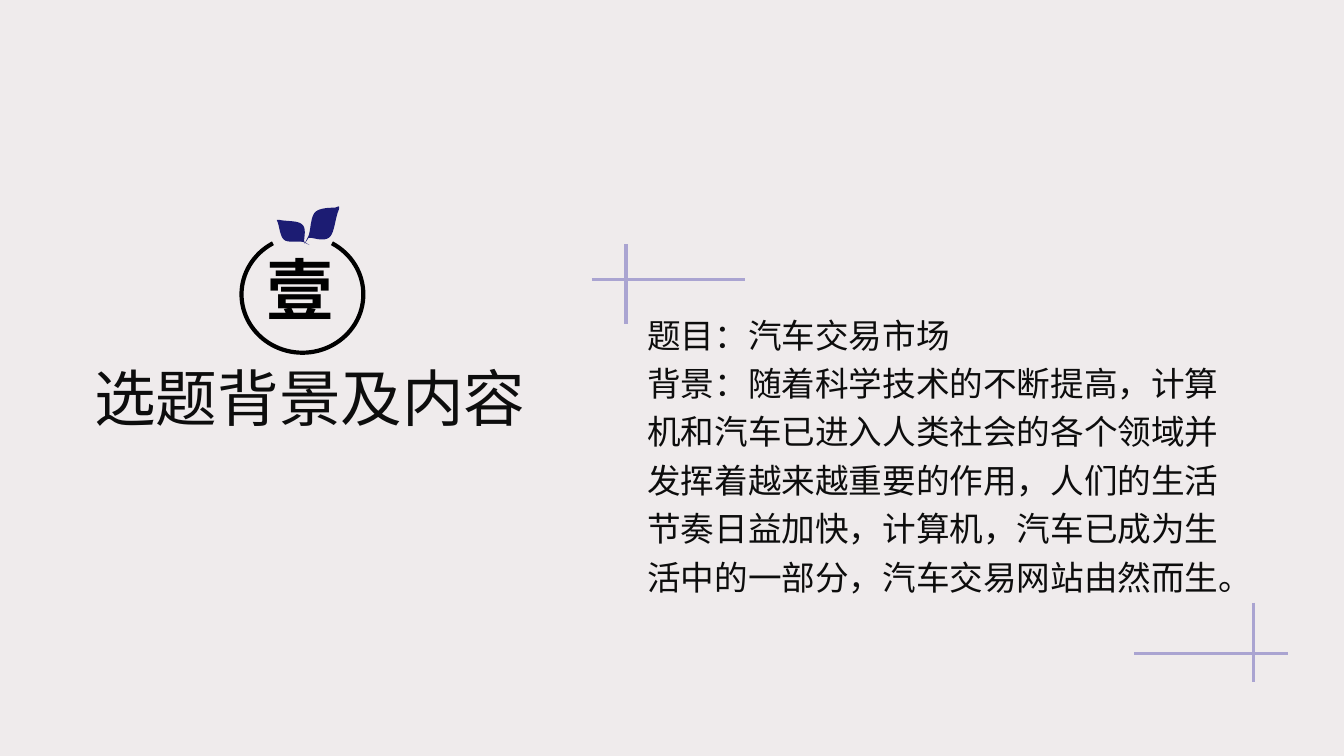
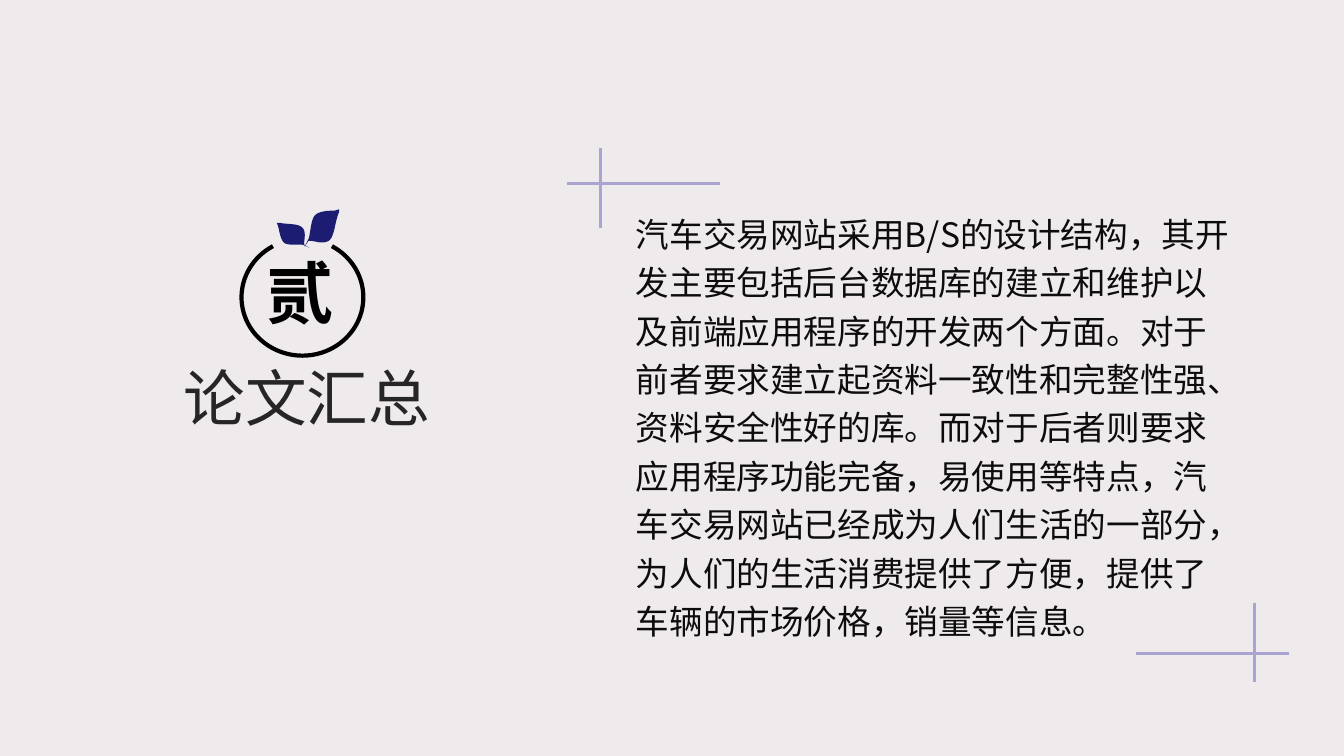
from lxml.etree import SubElement
from pptx import Presentation
from pptx.dml.color import RGBColor
from pptx.enum.shapes import MSO_CONNECTOR, MSO_SHAPE
from pptx.enum.text import MSO_ANCHOR, MSO_AUTO_SIZE, PP_ALIGN
from pptx.oxml.ns import qn
from pptx.util import Inches, Pt

COLORS = {
    "background": "EFEBEC",
    "cross": "AAA4D1",
    "leaf": "1C1C73",
    "ring": "000000",
    "body": "0D0D0D",
}
FONT = "Noto Sans CJK SC"
FRAME_FORMAT = {
    "word_wrap": True,
    "auto_size": MSO_AUTO_SIZE.SHAPE_TO_FIT_TEXT,
    "vertical_anchor": MSO_ANCHOR.TOP,
    "margin_left": Inches(0.1),
    "margin_right": Inches(0.1),
    "margin_top": Inches(0.05),
    "margin_bottom": Inches(0.05),
}
TITLE_FORMAT = {"alignment": PP_ALIGN.CENTER, "line_spacing": 1.0}
NUMBER_FORMAT = {"alignment": PP_ALIGN.LEFT, "line_spacing": 1.0}
BODY_FORMAT = {"alignment": PP_ALIGN.LEFT, "line_spacing": 1.2}

# The slide is a grid of 32 columns and 18 rows of square cells.
presentation = Presentation()
presentation.slide_width, presentation.slide_height = Inches(13.33), Inches(7.5)
CELL = presentation.slide_height / 18

# Leaf outlines in hundredths of an inch from the ring's centre:
# a start point, then lines (one point) and Bézier curves (three points).
LEAVES = [
    [(7, -49), [(1, -52)],
     [(-3, -53), (-14, -51), (-18, -54)],
     [(-22, -57), (-23, -67), (-24, -70)],
     [(-25, -74), (-27, -74), (-23, -74)],
     [(-15, -72), (-3, -74), (1, -68)],
     [(4, -63), (1, -55), (2, -52)]],
    [(2, -50), [(6, -58)],
     [(8, -63), (8, -76), (12, -81)],
     [(16, -86), (28, -86), (32, -86)],
     [(36, -87), (37, -89), (36, -84)],
     [(32, -75), (32, -60), (26, -56)],
     [(19, -52), (10, -57), (6, -56)]],
]
CURVE_STEPS = 10

SECTIONS = [
    {
        "title": "选题背景及内容", "title_color": "0D0D0D", "title_left": 0.67,
        "number": "壹", "ring_row": 7.01,
        "upper_cross": (14.9, 6.65), "lower_cross": (29.83, 15.55),
        "body_box": (15.17, 7.18, 14.66, 8.38),
        "body": [
            "题目：汽车交易市场",
            "背景：随着科学技术的不断提高，计算机和汽车已进入人类社会的各个领域并"
            "发挥着越来越重要的作用，人们的生活节奏日益加快，计算机，汽车已成为生"
            "活中的一部分，汽车交易网站由然而生。",
        ],
    },
    {
        "title": "论文汇总", "title_color": "262626", "title_left": 0.6,
        "number": "贰", "ring_row": 7.08,
        "upper_cross": (14.3, 4.36), "lower_cross": (29.86, 15.55),
        "body_box": (14.9, 4.78, 14.66, 11.88),
        "body": [
            "汽车交易网站采用B/S的设计结构，其开发主要包括后台数据库的建立和维护"
            "以及前端应用程序的开发两个方面。对于前者要求建立起资料一致性和完整性"
            "强、资料安全性好的库。而对于后者则要求应用程序功能完备，易使用等特点，"
            "汽车交易网站已经成为人们生活的一部分，",
            "为人们的生活消费提供了方便，提供了车辆的市场价格，销量等信息。",
        ],
    },
]
RING_COLUMN = 7.2
RING_RADII = (1.45, 1.39)
# Reach of the arms from the crossing point: left, right, up, down.
CROSS_ARMS = {"upper_cross": (0.81, 2.84, 0.83, 1.07),
              "lower_cross": (2.83, 0.82, 1.2, 0.7)}


def cells(*lengths):
    """Turn grid cells into slide lengths."""
    return [round(length * CELL) for length in lengths]


def write_text(shape, lines, paragraph_format, size, color, bold=False):
    frame = shape.text_frame
    frame.text = "\n".join(lines)
    for name, value in FRAME_FORMAT.items():
        setattr(frame, name, value)
    for paragraph in frame.paragraphs:
        for name, value in paragraph_format.items():
            setattr(paragraph, name, value)
        font = paragraph.runs[0].font
        for name, value in {"name": FONT, "size": Pt(size), "bold": bold}.items():
            setattr(font, name, value)
        font.color.rgb = RGBColor.from_string(color)
        properties = paragraph.runs[0]._r.get_or_add_rPr()
        SubElement(properties, qn("a:ea"), typeface=FONT)


background = presentation.slide_master.background.fill
background.solid()
background.fore_color.rgb = RGBColor.from_string(COLORS["background"])

for section in SECTIONS:
    slide = presentation.slides.add_slide(presentation.slide_layouts[5])

    title = slide.shapes.title
    title.left, title.top, title.width, title.height = cells(
        section["title_left"], 8.45, 13.42, 2.02)
    write_text(title, [section["title"]], TITLE_FORMAT, 44, section["title_color"])

    for cross_name, (left, right, up, down) in CROSS_ARMS.items():
        x, y = section[cross_name]
        cross = slide.shapes.add_group_shape()
        for ends in [(x - left, y, x + right, y), (x, y - up, x, y + down)]:
            arm = cross.shapes.add_connector(MSO_CONNECTOR.STRAIGHT, *cells(*ends))
            arm.line.width = Pt(2.25)
            arm.line.color.rgb = RGBColor.from_string(COLORS["cross"])
            SubElement(arm._element.spPr, qn("a:effectLst"))

    emblem = slide.shapes.add_group_shape()
    ring_row = section["ring_row"]
    for start, *segments in LEAVES:
        points, pen = [], start
        for segment in segments:
            if len(segment) == 3:
                for step in range(1, CURVE_STEPS + 1):
                    t = step / CURVE_STEPS
                    weights = ((1 - t) ** 3, 3 * t * (1 - t) ** 2,
                               3 * t ** 2 * (1 - t), t ** 3)
                    controls = [pen, *segment]
                    points.append([sum(w * point[axis] for w, point in zip(weights, controls))
                                   for axis in (0, 1)])
            else:
                points += segment
            pen = segment[-1]
        start, *points = [(x * Inches(0.01), y * Inches(0.01)) for x, y in [start, *points]]
        builder = emblem.shapes.build_freeform(*start)
        builder.add_line_segments(points, close=True)
        leaf = builder.convert_to_shape(*cells(RING_COLUMN, ring_row))
        leaf.shadow.inherit = False
        leaf.fill.solid()
        leaf.fill.fore_color.rgb = RGBColor.from_string(COLORS["leaf"])
        leaf.line.fill.background()

    radius_x, radius_y = RING_RADII
    ring = emblem.shapes.add_shape(MSO_SHAPE.ARC, *cells(
        RING_COLUMN - radius_x, ring_row - radius_y, 2 * radius_x, 2 * radius_y))
    for index, degrees in enumerate((300, 240)):
        ring.adjustments[index] = degrees * 0.6  # 60000 units a degree, scaled by 100000
    ring.shadow.inherit = False
    ring.fill.background()
    ring.line.width = Pt(3)
    ring.line.color.rgb = RGBColor.from_string(COLORS["ring"])

    number = emblem.shapes.add_textbox(*cells(RING_COLUMN - 1.1, ring_row - 1.22, 2.4, 2.18))
    write_text(number, [section["number"]], NUMBER_FORMAT, 48, COLORS["ring"], bold=True)

    body = slide.shapes.add_textbox(*cells(*section["body_box"]))
    write_text(body, section["body"], BODY_FORMAT, 24, COLORS["body"])

presentation.save("out.pptx")
